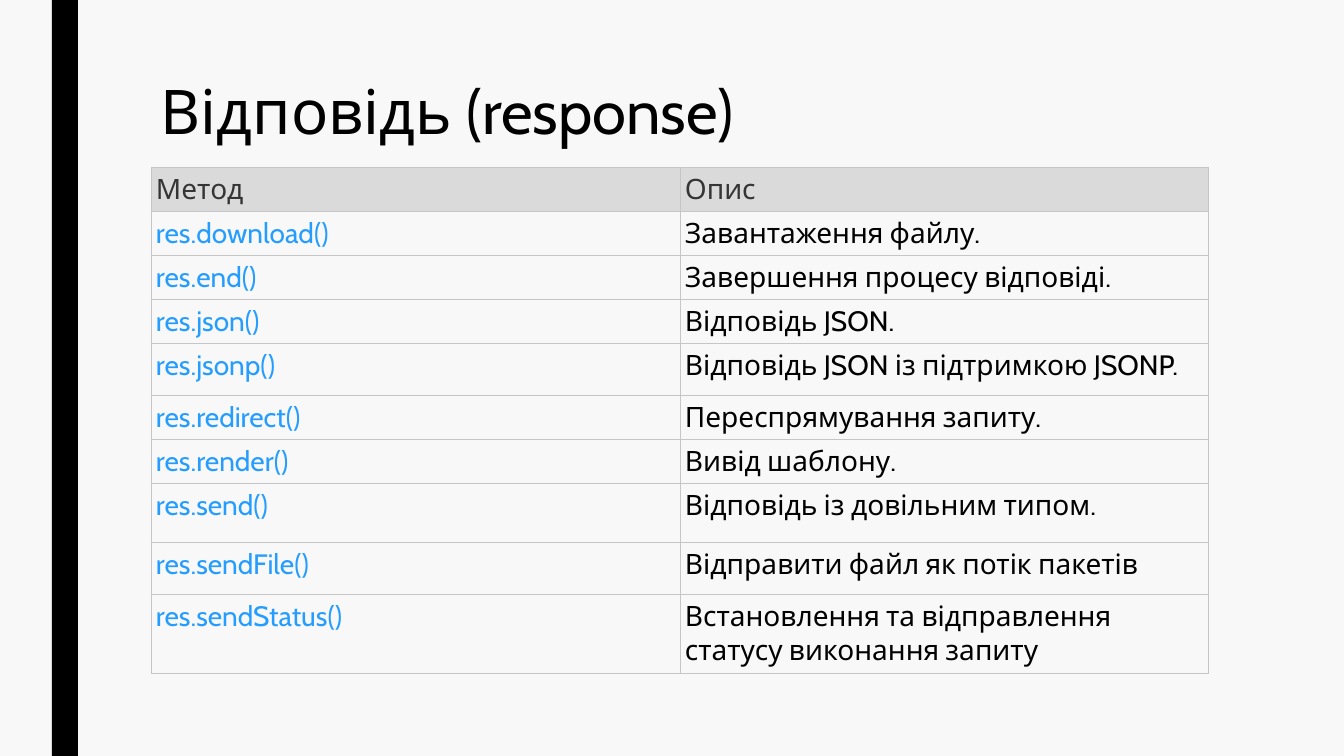
from lxml import etree
from pptx import Presentation
from pptx import util as u
from pptx.dml.color import RGBColor
from pptx.enum import shapes, text
from pptx.oxml.ns import qn

FONT = "Cabin"
BLACK, LINK_BLUE, HEADER_GRAY, HEADER_INK, GRID = (
    "000000", "259DFF", "DADADA", "353535", "C6C6C6")

SLIDE_BOX = (0, 0, 1344, 756)
BAR_BOX = (52, 0, 26, 756)
TITLE_BOX = (151, 76, 1058, 78)
TABLE_BOX = (151, 167, 1058, 507)

HEADINGS = ("Метод", "Опис")
METHODS = [  # method, description, row height
    ("res.download()", "Завантаження файлу.", 44),
    ("res.end()", "Завершення процесу відповіді.", 44),
    ("res.json()", "Відповідь JSON.", 44),
    ("res.jsonp()", "Відповідь JSON із підтримкою JSONP.", 52),
    ("res.redirect()", "Переспрямування запиту.", 44),
    ("res.render()", "Вивід шаблону.", 44),
    ("res.send()", "Відповідь із довільним типом.", 59),
    ("res.sendFile()", "Відправити файл як потік пакетів", 52),
    ("res.sendStatus()", "Встановлення та відправлення статусу виконання запиту", 79),
]
HEADER_HEIGHT = 44


def px(length):
    return u.Emu(round(length * 914400 / 100.8))


def place(box):
    return [px(length) for length in box]


def color(hex_code):
    return RGBColor.from_string(hex_code)


def style(paragraph, size, ink):
    font = paragraph.font
    font.name, font.size = FONT, u.Pt(size)
    font.color.rgb = color(ink)


def add_side_bar(slide, box):
    bar = slide.shapes.add_shape(shapes.MSO_SHAPE.RECTANGLE, *place(box))
    bar.shadow.inherit = False
    bar.fill.solid()
    bar.fill.fore_color.rgb = color(BLACK)
    bar.line.fill.background()


def add_title(slide, box):
    frame = slide.shapes.add_textbox(*place(box)).text_frame
    frame.word_wrap = True
    frame.auto_size = text.MSO_AUTO_SIZE.NONE
    frame.vertical_anchor = text.MSO_ANCHOR.MIDDLE
    title = frame.paragraphs[0]
    title.text = "Відповідь (response)"
    title.line_spacing = 0.89
    style(title, 44, BLACK)


def add_borders(cell):
    properties = cell._tc.get_or_add_tcPr()
    for side in ("lnL", "lnR", "lnT", "lnB"):
        border = etree.SubElement(properties, qn(f"a:{side}"), w=str(u.Pt(0.75)))
        fill = etree.SubElement(border, qn("a:solidFill"))
        etree.SubElement(fill, qn("a:srgbClr"), val=GRID)


def fill_cell(cell, wording, ink, background=None):
    cell.text = wording
    style(cell.text_frame.paragraphs[0], 20, ink)
    cell.margin_left = cell.margin_right = px(5)
    cell.margin_top = cell.margin_bottom = px(5)
    add_borders(cell)
    if background:
        cell.fill.solid()
        cell.fill.fore_color.rgb = color(background)
    else:
        cell.fill.background()


def add_method_table(slide, box):
    table = slide.shapes.add_table(
        len(METHODS) + 1, len(HEADINGS), *place(box)).table
    table.first_row = table.horz_banding = False
    for column in table.columns:
        column.width = px(box[2] / len(HEADINGS))

    table.rows[0].height = px(HEADER_HEIGHT)
    for cell, heading in zip(table.rows[0].cells, HEADINGS):
        fill_cell(cell, heading, HEADER_INK, HEADER_GRAY)

    for index, (method, description, height) in enumerate(METHODS, 1):
        table.rows[index].height = px(height)
        fill_cell(table.cell(index, 0), method, LINK_BLUE)
        fill_cell(table.cell(index, 1), description, BLACK)


def main():
    deck = Presentation()
    deck.slide_width, deck.slide_height = place(SLIDE_BOX[2:])
    slide = deck.slides.add_slide(deck.slide_layouts[6])
    slide.background.fill.solid()
    slide.background.fill.fore_color.rgb = color("F8F8F8")
    add_side_bar(slide, BAR_BOX)
    add_title(slide, TITLE_BOX)
    add_method_table(slide, TABLE_BOX)
    deck.save("out.pptx")


if __name__ == "__main__":
    main()
